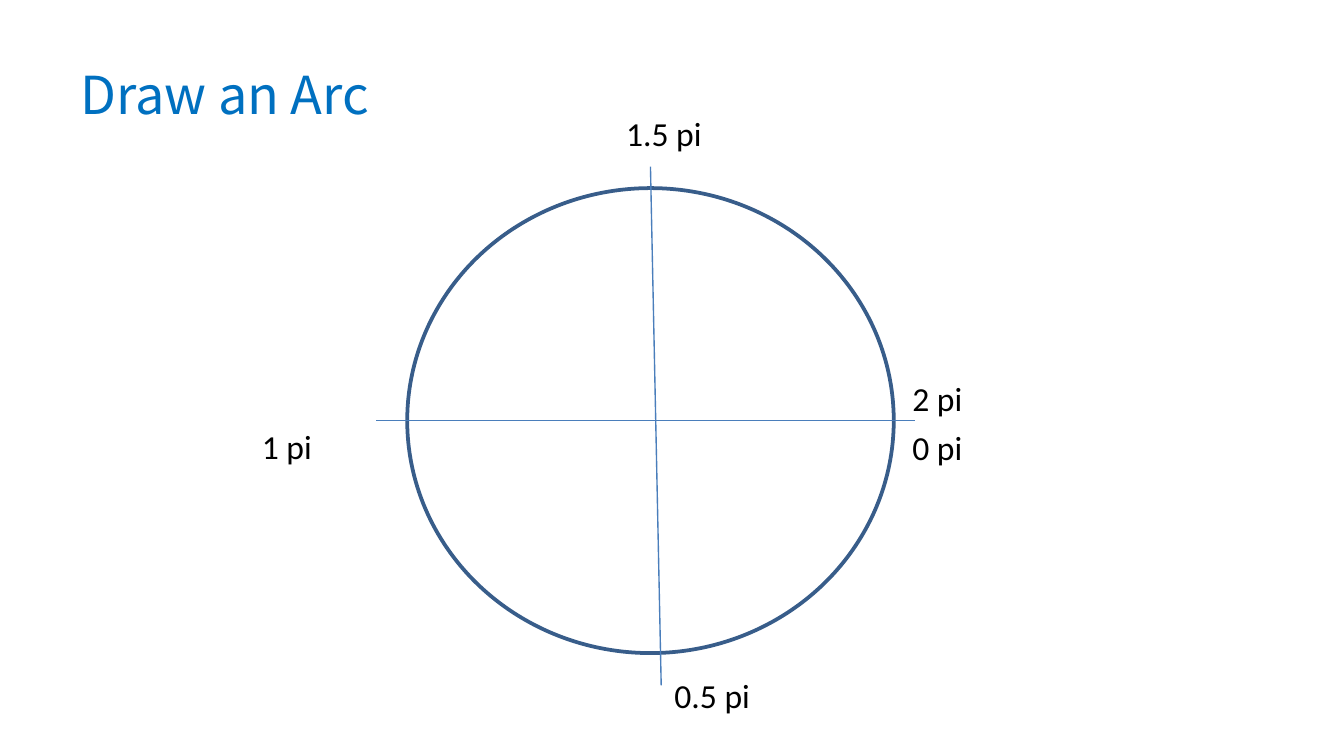
"""Build a slide that marks the angles of an arc around a circle."""
import pptx
import pptx.dml.color
import pptx.enum.shapes
import pptx.enum.text
import pptx.oxml.ns
import pptx.util
from lxml import etree

Inches = pptx.util.Inches
SLIDE_WIDTH = 10
SLIDE_HEIGHT = SLIDE_WIDTH * 9 / 16
TITLE = ("Draw an Arc", (0.5, 0.23, 9, 0.94))
CIRCLE = (3.03, 1.4, 3.62, 3.46)
AXES = [
    (2.8, 3.13, 6.81, 3.13),
    (4.84, 1.24, 4.92, 5.1),
]
LABEL_SIZE = (1.26, 0.4)
LABELS = [
    ("0 pi", (6.69, 3.13)),
    ("0.5 pi", (4.92, 4.97)),
    ("1 pi", (1.85, 3.12)),
    ("1.5 pi", (4.56, 0.79)),
    ("2 pi", (6.69, 2.76)),
]


def color(value):
    return pptx.dml.color.RGBColor.from_string(value)


def add_text(slide, text, box, font_name, size, font_color, anchor):
    shape = slide.shapes.add_textbox(*map(Inches, box))
    frame = shape.text_frame
    frame.word_wrap = True
    frame.vertical_anchor = anchor
    run = frame.paragraphs[0].add_run()
    run.text = text
    run.font.name = font_name
    run.font.size = pptx.util.Pt(size)
    run.font.color.rgb = color(font_color)


def add_circle(slide, box):
    oval = pptx.enum.shapes.MSO_SHAPE.OVAL
    shape = slide.shapes.add_shape(oval, *map(Inches, box))
    shape.shadow.inherit = False
    shape.fill.background()
    shape.line.color.rgb = color("385D8A")
    shape.line.width = pptx.util.Pt(2)


def add_axis(slide, ends):
    straight = pptx.enum.shapes.MSO_CONNECTOR.STRAIGHT
    connector = slide.shapes.add_connector(straight, *map(Inches, ends))
    connector.line.color.rgb = color("4A7EBB")
    connector.line.width = pptx.util.Pt(0.75)
    properties = connector._element.spPr
    etree.SubElement(properties, pptx.oxml.ns.qn("a:effectLst"))


def main():
    presentation = pptx.Presentation()
    presentation.slide_width = Inches(SLIDE_WIDTH)
    presentation.slide_height = Inches(SLIDE_HEIGHT)
    slide = presentation.slides.add_slide(presentation.slide_layouts[6])
    anchors = pptx.enum.text.MSO_ANCHOR
    add_text(slide, *TITLE, "Noto Sans CJK SC", 28, "0070C0", anchors.MIDDLE)
    add_circle(slide, CIRCLE)
    for ends in AXES:
        add_axis(slide, ends)
    for text, position in LABELS:
        add_text(slide, text, position + LABEL_SIZE, "Calibri", 18, "000000", anchors.TOP)
    presentation.save("out.pptx")


if __name__ == "__main__":
    main()
